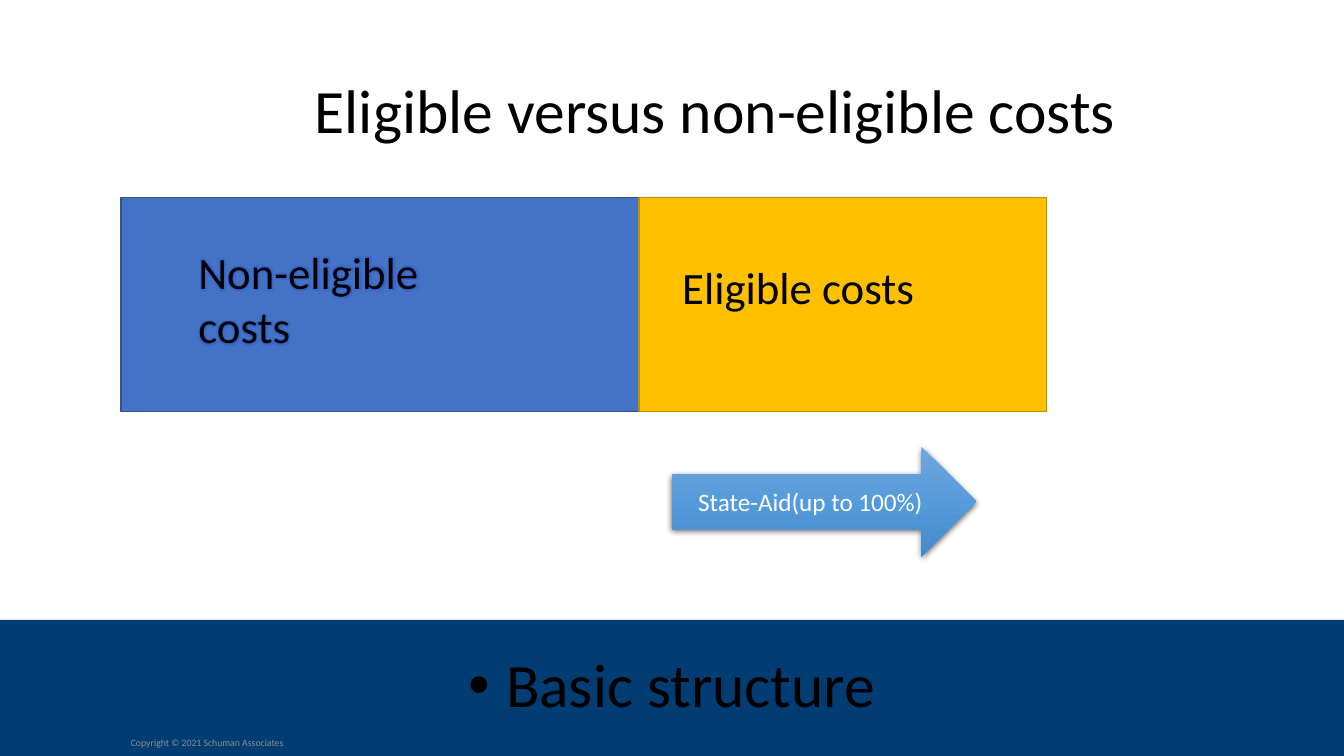
from lxml import etree
from pptx import Presentation
from pptx.dml.color import RGBColor
from pptx.enum import shapes, text
from pptx.oxml import parse_xml
from pptx.oxml.ns import qn
from pptx.util import Pt

DRAWING_NS = 'xmlns:a="http://schemas.openxmlformats.org/drawingml/2006/main"'


def colour(value):
    return RGBColor.from_string(value)


def place(shape, box):
    shape.left, shape.top, shape.width, shape.height = (Pt(n) for n in box)


def write(shape, words, size, ink, align=text.PP_ALIGN.LEFT,
          anchor=text.MSO_ANCHOR.TOP, spacing=1.0):
    """Fill a shape with one formatted paragraph and return its run."""
    frame = shape.text_frame
    frame.text = words
    frame.word_wrap = True
    frame.auto_size = text.MSO_AUTO_SIZE.NONE
    frame.vertical_anchor = anchor
    para = frame.paragraphs[0]
    para.alignment = align
    para.line_spacing = spacing
    para.space_before = Pt(0)
    span = para.runs[0]
    span.font.size = Pt(size)
    span.font.name = "Calibri"
    span.font.color.rgb = colour(ink)
    return span


def add_label(page, box, *args, **options):
    label = page.shapes.add_textbox(*(Pt(n) for n in box))
    return write(label, *args, **options)


def add_block(page, box, fill, line=None, kind=shapes.MSO_SHAPE.RECTANGLE):
    block = page.shapes.add_shape(kind, *(Pt(n) for n in box))
    block.shadow.inherit = False
    block.fill.solid()
    block.fill.fore_color.rgb = colour(fill)
    if line:
        block.line.color.rgb = colour(line)
        block.line.width = Pt(1)
    else:
        block.line.fill.background()
    return block


def add_title(page, box):
    title = page.shapes.title
    place(title, box)
    write(title, "Eligible versus non-eligible costs", 44, "000000",
          align=text.PP_ALIGN.CENTER, spacing=0.9)


def add_footer(page, box):
    left, top, width, height = box
    band = add_block(page, box, "013D73")
    page.shapes._spTree.insert(2, band._element)  # behind the placeholders
    body = page.placeholders[1]
    place(body, box)
    body.text_frame.text = "Basic structure"
    props = body.text_frame.paragraphs[0]._p.get_or_add_pPr()
    props.set("marL", "0")
    props.set("indent", "0")
    etree.SubElement(props, qn("a:buNone"))
    write(body, "Basic structure", 44, "000000", align=text.PP_ALIGN.CENTER,
          anchor=text.MSO_ANCHOR.MIDDLE, spacing=0.9)
    add_label(page, (left + 86.4, top + 75.6, 150, 23.8),
              "Copyright © 2021 Schuman Associates", 7, "8C8C8C",
              anchor=text.MSO_ANCHOR.MIDDLE)


def add_glow(span, ink, radius):
    glow = parse_xml(
        f'<a:effectLst {DRAWING_NS}><a:glow rad="{Pt(radius)}">'
        f'<a:srgbClr val="{ink}"><a:alpha val="60000"/></a:srgbClr>'
        '</a:glow></a:effectLst>')
    span.font._element.find(qn("a:solidFill")).addnext(glow)


def add_cost_bar(page, box):
    left, top, width, height = box
    split = 370
    add_block(page, (left, top, split, height), "4472C4", "325491")
    span = add_label(page, (left + 48.2, top + 30.2, 239, 85),
                     "Non-eligible costs", 32, "000000")
    add_glow(span, "2F5FD0", 5)
    add_block(page, (left + split, top, width - split, height),
              "FFC000", "BD8E00")
    add_label(page, (left + split + 23.8, top + 41, 239, 46),
              "Eligible costs", 32, "000000")


def add_aid_arrow(page, box):
    arrow = add_block(page, box, "559BDB", kind=shapes.MSO_SHAPE.RIGHT_ARROW)
    write(arrow, "State-Aid(up to 100%)", 18, "FFFFFF",
          align=text.PP_ALIGN.CENTER, anchor=text.MSO_ANCHOR.MIDDLE)
    stops = "".join(
        f'<a:gs pos="{at * 1000}"><a:srgbClr val="{ink}"/></a:gs>'
        for at, ink in ((0, "71A6DB"), (50, "559BDB"), (100, "448ACA")))
    props = arrow._element.spPr
    props.replace(props.find(qn("a:solidFill")), parse_xml(
        f'<a:gradFill {DRAWING_NS} rotWithShape="1"><a:gsLst>{stops}</a:gsLst>'
        '<a:lin ang="5400000" scaled="0"/></a:gradFill>'))
    props.replace(props.find(qn("a:effectLst")), parse_xml(
        f'<a:effectLst {DRAWING_NS}><a:outerShdw blurRad="{Pt(4.5)}" '
        f'dist="{Pt(1.5)}" dir="5400000" algn="ctr" rotWithShape="0">'
        '<a:srgbClr val="000000"><a:alpha val="63000"/></a:srgbClr>'
        '</a:outerShdw></a:effectLst>'))


def main():
    deck = Presentation()
    deck.slide_width, deck.slide_height = Pt(960), Pt(540)
    page = deck.slides.add_slide(deck.slide_layouts[1])
    add_footer(page, (0, 442.8, 960, 97.2))
    add_title(page, (116.6, 54, 789, 87))
    add_cost_bar(page, (86.4, 141, 661, 152.8))
    add_aid_arrow(page, (480, 319, 217.4, 78.5))
    deck.save("out.pptx")


if __name__ == "__main__":
    main()
